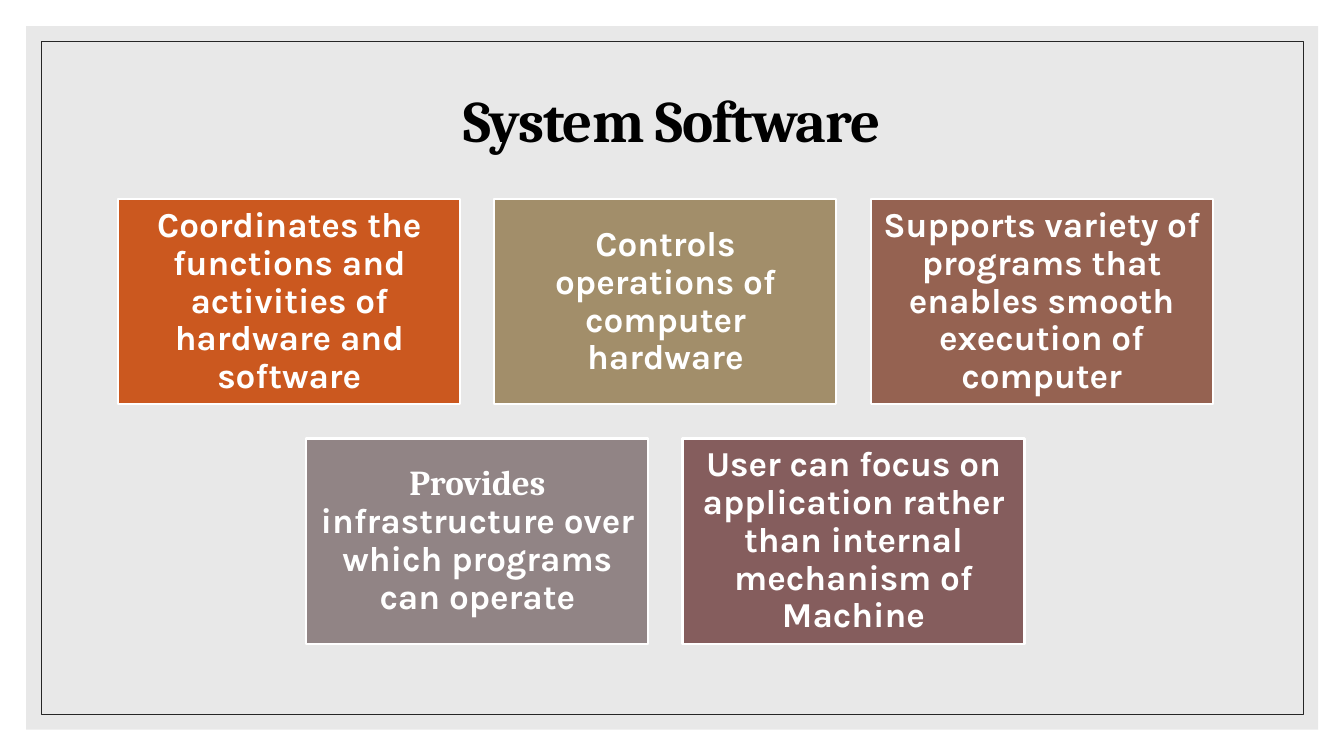
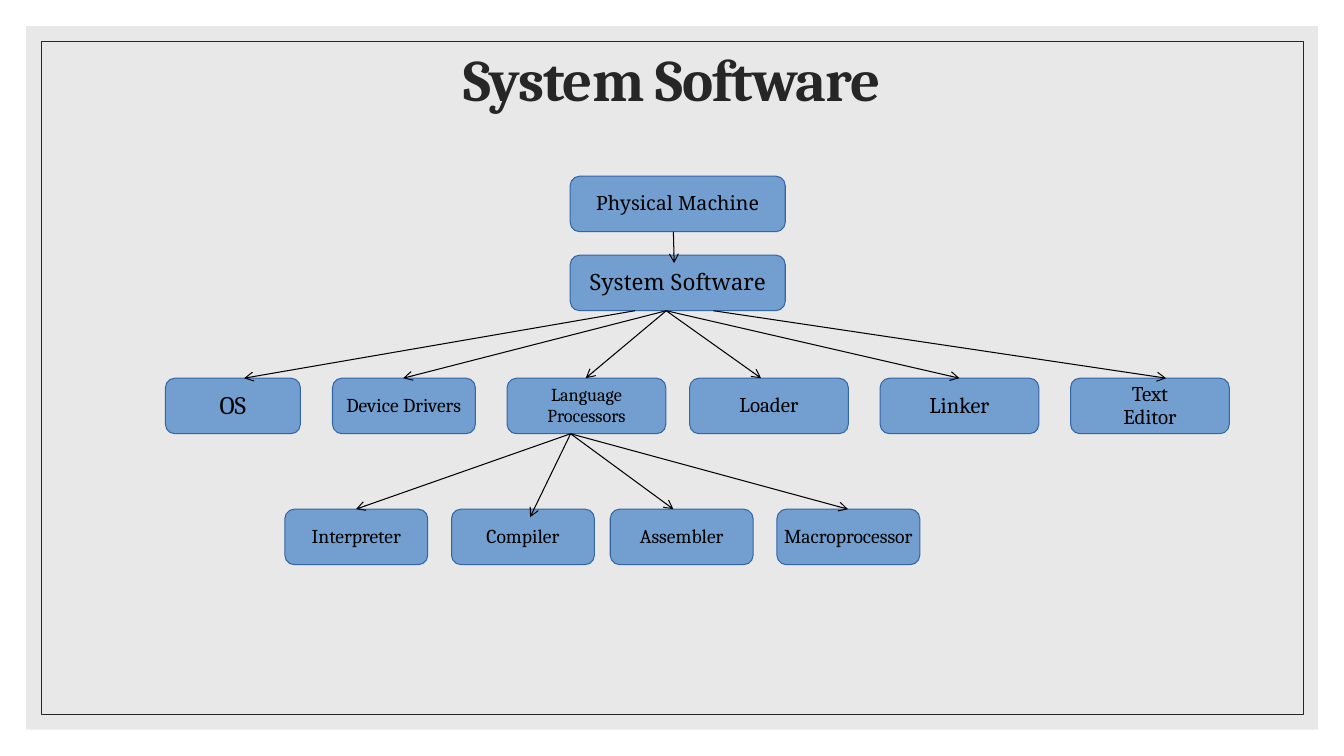
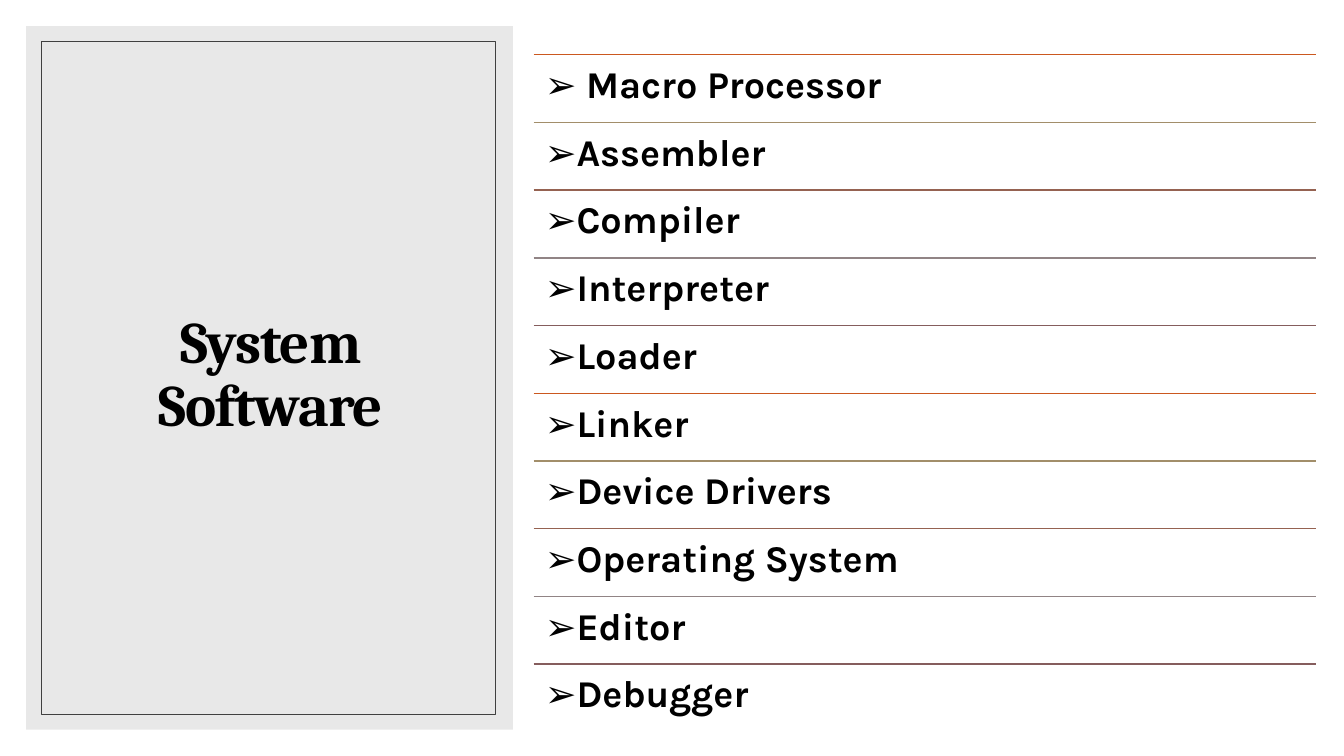
"""Build three slides about system software."""
from lxml import etree
from pptx import Presentation
from pptx import util as u
from pptx.dml import color
from pptx.enum import shapes, text
from pptx.oxml import ns

SERIF, SANS, DIAGRAM_SERIF = "Cambria", "Karla", "Noto Serif"
BLACK, WHITE, CHARCOAL = "000000", "FFFFFF", "262626"
ACCENTS = ["CB581F", "A28E6A", "956251", "918485", "855D5D"]
SLIDE_SIZE = (33.87, 19.05)
RECTANGLE = shapes.MSO_SHAPE.RECTANGLE
ROUNDED = shapes.MSO_SHAPE.ROUNDED_RECTANGLE
BOX_HEIGHT = 1.4

CARDS = [
    [("", "Coordinates the functions and activities of hardware and software"),
     ("", "Controls operations of computer hardware"),
     ("", "Supports variety of programs that enables smooth execution of computer")],
    [("Provides", " infrastructure over which programs can operate"),
     ("", "User can focus on application rather than internal mechanism of Machine")],
]
BOXES = [
    (4.44, DIAGRAM_SERIF, [("Physical Machine", 14.37, 5.42, 14)]),
    (6.43, DIAGRAM_SERIF, [("System Software", 14.37, 5.42, 16)]),
    (9.53, SERIF, [("OS", 4.17, 3.4, 18), ("Device Drivers", 8.38, 3.6, 14),
                   ("Language\nProcessors", 12.78, 4, 13), ("Loader", 17.38, 4, 15),
                   ("Linker", 22.18, 4, 16), ("Text\nEditor", 26.98, 4, 15)]),
    (12.83, SERIF, [("Interpreter", 7.18, 3.6, 14), ("Compiler", 11.38, 3.6, 14),
                    ("Assembler", 15.38, 3.6, 14), ("Macroprocessor", 19.58, 3.6, 14)]),
]
ARROWS = [
    (16.97, 5.84, [(16.99, 6.63)]),
    (16, 7.83, [(6.15, 9.53)]),
    (16.79, 7.83, [(10.16, 9.53), (14.76, 9.53), (19.18, 9.53), (24.18, 9.53)]),
    (17.98, 7.83, [(29.39, 9.53)]),
    (14.38, 10.93, [(8.97, 12.83), (13.36, 13.03), (16.97, 12.83), (21.37, 12.83)]),
]
PROGRAMS = [" Macro Processor", "Assembler", "Compiler", "Interpreter", "Loader",
            "Linker", "Device Drivers", "Operating System", "Editor", "Debugger"]


def rgb(value):
    """Turn a hex string into a colour."""
    return color.RGBColor.from_string(value)


def lengths(*values):
    """Turn centimetres into lengths."""
    return [u.Cm(value) for value in values]


def add_child(parent, tag, **attributes):
    """Append a DrawingML element to a parent."""
    return etree.SubElement(parent, ns.qn(tag), attributes)


def style_paragraph(paragraph, font_name, size, colour, bold, spacing,
                    alignment=text.PP_ALIGN.CENTER):
    """Set the font, line spacing and alignment of a paragraph."""
    paragraph.alignment = alignment
    paragraph.line_spacing = spacing
    font = paragraph.font
    font.name, font.size, font.bold = font_name, u.Pt(size), bold
    font.color.rgb = rgb(colour)


def set_frame(frame, horizontal, vertical, anchor=text.MSO_ANCHOR.MIDDLE, wrap=True):
    """Set the insets, anchor and wrapping of a text frame."""
    frame.margin_left = frame.margin_right = u.Cm(horizontal)
    frame.margin_top = frame.margin_bottom = u.Cm(vertical)
    frame.vertical_anchor = anchor
    frame.word_wrap = wrap
    frame.auto_size = text.MSO_AUTO_SIZE.NONE


def add_block(slide, kind, box, fill=None, line=None, width=0.5):
    """Add a preset shape with a plain fill and outline."""
    shape = slide.shapes.add_shape(kind, *lengths(*box))
    shape.shadow.inherit = False
    if fill:
        shape.fill.solid()
        shape.fill.fore_color.rgb = rgb(fill)
    else:
        shape.fill.background()
    if line:
        shape.line.color.rgb = rgb(line)
        shape.line.width = u.Pt(width)
    else:
        shape.line.fill.background()
    return shape


def add_line(slide, start, end, colour, width, arrow=False):
    """Add a straight line, with an arrowhead at its end if wanted."""
    connector = slide.shapes.add_connector(
        shapes.MSO_CONNECTOR.STRAIGHT, *lengths(*start, *end))
    connector.line.color.rgb = rgb(colour)
    connector.line.width = u.Pt(width)
    properties = connector.element.find(ns.qn("p:spPr"))
    if arrow:
        add_child(properties.find(ns.qn("a:ln")), "a:tailEnd", type="arrow")
    add_child(properties, "a:effectLst")


def add_titled_slide(presentation, title_box, title_colour=BLACK,
                     panel_width=32.56, frame_width=31.8, frame_colour=CHARCOAL):
    """Add a slide with a white ground, a grey panel, a thin frame and a title."""
    slide = presentation.slides.add_slide(presentation.slide_layouts[5])
    ground = add_block(slide, RECTANGLE, (0, 0, *SLIDE_SIZE), WHITE)
    panel = add_block(slide, RECTANGLE, (0.66, 0.66, panel_width, 17.73), "D9D9D9")
    add_child(panel.element.find(".//" + ns.qn("a:srgbClr")), "a:alpha", val="60000")
    frame = add_block(slide, RECTANGLE, (1.04, 1.04, frame_width, 16.97),
                      line=frame_colour)
    title = slide.shapes.title
    for backdrop in (ground, panel, frame):
        title.element.addprevious(backdrop.element)
    title.left, title.top, title.width, title.height = lengths(*title_box)
    title.text_frame.text = "System Software"
    set_frame(title.text_frame, 0.25, 0.13)
    style_paragraph(title.text_frame.paragraphs[0], SERIF, 42, title_colour, True, 0.9)
    title.element.find(".//" + ns.qn("a:defRPr")).set("spc", "-70")
    return slide


def add_card(slide, box, fill, lead, body):
    """Add a coloured card whose lead words are set in the serif font."""
    card = add_block(slide, RECTANGLE, box, fill, WHITE, 1.5)
    set_frame(card.text_frame, 0.25, 0.25)
    paragraph = card.text_frame.paragraphs[0]
    style_paragraph(paragraph, SANS, 25, WHITE, True, 0.9)
    if lead:
        run = paragraph.add_run()
        run.text, run.font.name = lead, SERIF
    paragraph.add_run().text = body


def add_box(slide, label, left, top, width, font_name, size):
    """Add a rounded box of the diagram."""
    box = add_block(slide, ROUNDED, (left, top, width, BOX_HEIGHT),
                    "729FCF", "3465A4", 0.75)
    box.adjustments[0] = 0.17
    box.text_frame.text = label
    set_frame(box.text_frame, 0.25, 0.13, wrap=False)
    for paragraph in box.text_frame.paragraphs:
        style_paragraph(paragraph, font_name, size, BLACK, False, 0.93)


def add_list_row(slide, label, left, top, width, height, colour):
    """Add a ruled row with an arrow sign and a bold label."""
    add_line(slide, (left, top), (left + width, top), colour, 1)
    row = slide.shapes.add_textbox(*lengths(left, top, width, height))
    set_frame(row.text_frame, 0.28, 0.28, text.MSO_ANCHOR.TOP)
    paragraph = row.text_frame.paragraphs[0]
    style_paragraph(paragraph, SANS, 27, BLACK, False, 0.9, text.PP_ALIGN.LEFT)
    paragraph.add_run().text = "➢"
    run = paragraph.add_run()
    run.text, run.font.bold = label, True


def build_purposes(presentation):
    """Show the purposes as centred rows of cards."""
    slide = add_titled_slide(presentation, (2.97, 1.78, 27.94, 2.67))
    width, height, gap, centre = 8.62, 5.17, 0.86, 16.77
    colours = iter(ACCENTS)
    for row, cards in enumerate(CARDS):
        left = centre - (len(cards) * (width + gap) - gap) / 2
        top = 5.02 + row * (height + gap)
        for column, (lead, body) in enumerate(cards):
            box = (left + column * (width + gap), top, width, height)
            add_card(slide, box, next(colours), lead, body)


def build_hierarchy(presentation):
    """Show the kinds of system software as a tree."""
    slide = add_titled_slide(presentation, (2.97, 1.13, 27.94, 1.88), CHARCOAL)
    for top, font_name, boxes in BOXES:
        for label, left, width, size in boxes:
            add_box(slide, label, left, top, width, font_name, size)
    for x, y, ends in ARROWS:
        for end in ends:
            add_line(slide, (x, y), end, BLACK, 0.75, arrow=True)


def build_programs(presentation):
    """List the programs beside a title panel."""
    slide = add_titled_slide(presentation, (1.59, 1.55, 10.46, 15.85),
                             panel_width=12.27, frame_width=11.45,
                             frame_colour="404040")
    left, top, width, height = 13.45, 1.38, 19.71, 17.06
    row_height = height / len(PROGRAMS)
    for index, label in enumerate(PROGRAMS):
        add_list_row(slide, label, left, top + index * row_height, width, row_height,
                     ACCENTS[index % len(ACCENTS)])


def main():
    """Build and save the presentation."""
    presentation = Presentation()
    presentation.slide_width, presentation.slide_height = lengths(*SLIDE_SIZE)
    build_purposes(presentation)
    build_hierarchy(presentation)
    build_programs(presentation)
    presentation.save("out.pptx")


main()
